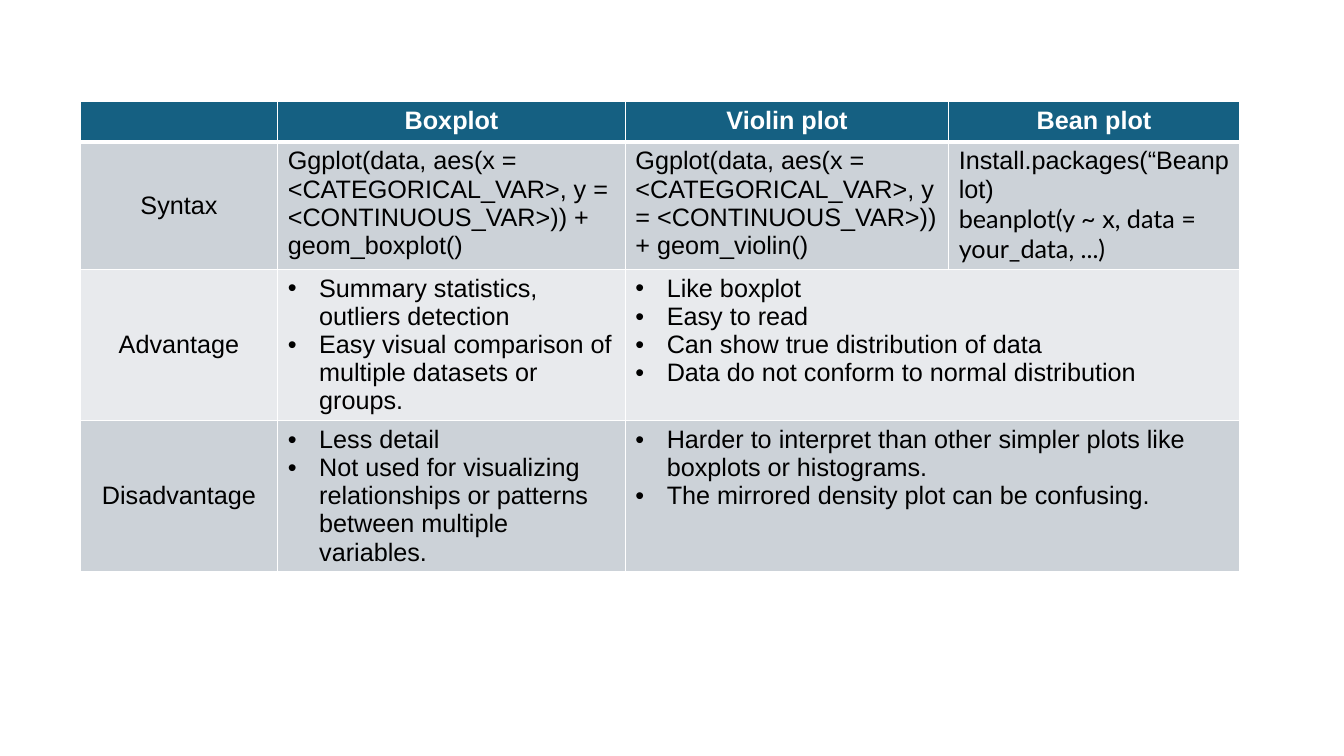
from lxml.etree import SubElement
from pptx import Presentation
from pptx.dml.color import RGBColor
from pptx.enum.text import MSO_ANCHOR, PP_ALIGN
from pptx.oxml.ns import qn
from pptx.util import Cm, Pt

WHITE = RGBColor(0xFF, 0xFF, 0xFF)
BLACK = RGBColor(0x00, 0x00, 0x00)
HEADER_BLUE = RGBColor(0x15, 0x60, 0x82)
BAND_DARK = RGBColor(0xCC, 0xD2, 0xD8)
BAND_LIGHT = RGBColor(0xE8, 0xEA, 0xED)

# Table content: one list of paragraphs per cell
PLOTS = ["Boxplot", "Violin plot", "Bean plot"]
GGPLOT = "Ggplot(data, aes(x = <CATEGORICAL_VAR>, y = <CONTINUOUS_VAR>)) + "
SYNTAX = [
    [GGPLOT + "geom_boxplot()"],
    [GGPLOT + "geom_violin()"],
    ["Install.packages(“Beanplot)", "beanplot(y ~ x, data = your_data, ...)"],
]
ADVANTAGES = [
    ["Summary statistics, outliers detection",
     "Easy visual comparison of multiple datasets or groups."],
    ["Like boxplot",
     "Easy to read",
     "Can show true distribution of data",
     "Data do not conform to normal distribution"],
]
DISADVANTAGES = [
    ["Less detail",
     "Not used for visualizing relationships or patterns between multiple variables."],
    ["Harder to interpret than other simpler plots like boxplots or histograms.",
     "The mirrored density plot can be confusing."],
]
COLUMN_WIDTHS = [4.98, 8.76, 8.15, 7.32]
ROW_HEIGHTS = [0.95, 3.2, 3.8, 3.8]


def write_text(paragraph, text, font="Arial", size=18, color=BLACK,
               bold=False, align=PP_ALIGN.LEFT, bullet=False):
    """Fill one paragraph with formatted text."""
    if bullet:
        properties = paragraph._p.get_or_add_pPr()
        properties.set("marL", str(Cm(0.79)))
        properties.set("indent", str(-Cm(0.79)))
        SubElement(properties, qn("a:buFont"), typeface="Arial")
        SubElement(properties, qn("a:buChar"), char="•")
    paragraph.alignment = align
    run = paragraph.add_run()
    run.text = text
    run.font.name = font
    run.font.size = Pt(size)
    run.font.bold = bold
    run.font.color.rgb = color


class ComparisonSlide:
    """Holds the slide and the look of its table."""

    def __init__(self, presentation):
        self.slide = presentation.slides.add_slide(presentation.slide_layouts[6])
        self.fills = [HEADER_BLUE, BAND_DARK, BAND_LIGHT, BAND_DARK]

    def add_grid(self, left, top, widths, heights):
        grid = self.slide.shapes.add_table(
            len(heights), len(widths), Cm(left), Cm(top),
            Cm(sum(widths)), Cm(sum(heights))).table
        grid.horz_banding = False
        for column, width in zip(grid.columns, widths):
            column.width = Cm(width)
        for row_index, height in enumerate(heights):
            row = grid.rows[row_index]
            row.height = Cm(height)
            for cell in row.cells:
                self.add_borders(cell, row_index)
                cell.fill.solid()
                cell.fill.fore_color.rgb = self.fills[row_index]
        return grid

    def add_borders(self, cell, row_index):
        """Thin white rules, with a thick one under the header."""
        thick_side = {0: "lnB", 1: "lnT"}.get(row_index)
        for side in ("lnL", "lnR", "lnT", "lnB"):
            width = Pt(3 if side == thick_side else 1)
            line = SubElement(cell._tc.get_or_add_tcPr(), qn("a:" + side), w=str(width))
            fill = SubElement(line, qn("a:solidFill"))
            SubElement(fill, qn("a:srgbClr"), val=str(WHITE))

    def fill_cell(self, cell, lines, **style):
        frame = cell.text_frame
        for index, line in enumerate(lines):
            paragraph = frame.add_paragraph() if index else frame.paragraphs[0]
            write_text(paragraph, line, **style)

    def fill_label(self, cell, label):
        cell.vertical_anchor = MSO_ANCHOR.MIDDLE
        self.fill_cell(cell, [label], align=PP_ALIGN.CENTER)


def main():
    presentation = Presentation()
    presentation.slide_width = Cm(33.87)
    presentation.slide_height = Cm(19.05)
    comparison = ComparisonSlide(presentation)
    grid = comparison.add_grid(2.02, 2.55, COLUMN_WIDTHS, ROW_HEIGHTS)

    # Header row
    for column, plot in enumerate(PLOTS, start=1):
        comparison.fill_cell(grid.cell(0, column), [plot], color=WHITE,
                             bold=True, align=PP_ALIGN.CENTER)

    # Row labels
    for row, label in enumerate(["Syntax", "Advantage", "Disadvantage"], start=1):
        comparison.fill_label(grid.cell(row, 0), label)

    # Syntax row; the bean plot call is set in its own font
    for column, (install, *calls) in enumerate(SYNTAX, start=1):
        cell = grid.cell(1, column)
        comparison.fill_cell(cell, [install])
        for call in calls:
            write_text(cell.text_frame.add_paragraph(), call, font="Lato")

    # Bulleted rows; violin and bean plots share a cell
    for row, points in enumerate([ADVANTAGES, DISADVANTAGES], start=2):
        grid.cell(row, 2).merge(grid.cell(row, 3))
        for column, lines in enumerate(points, start=1):
            comparison.fill_cell(grid.cell(row, column), lines, bullet=True)

    presentation.save("out.pptx")


if __name__ == "__main__":
    main()
